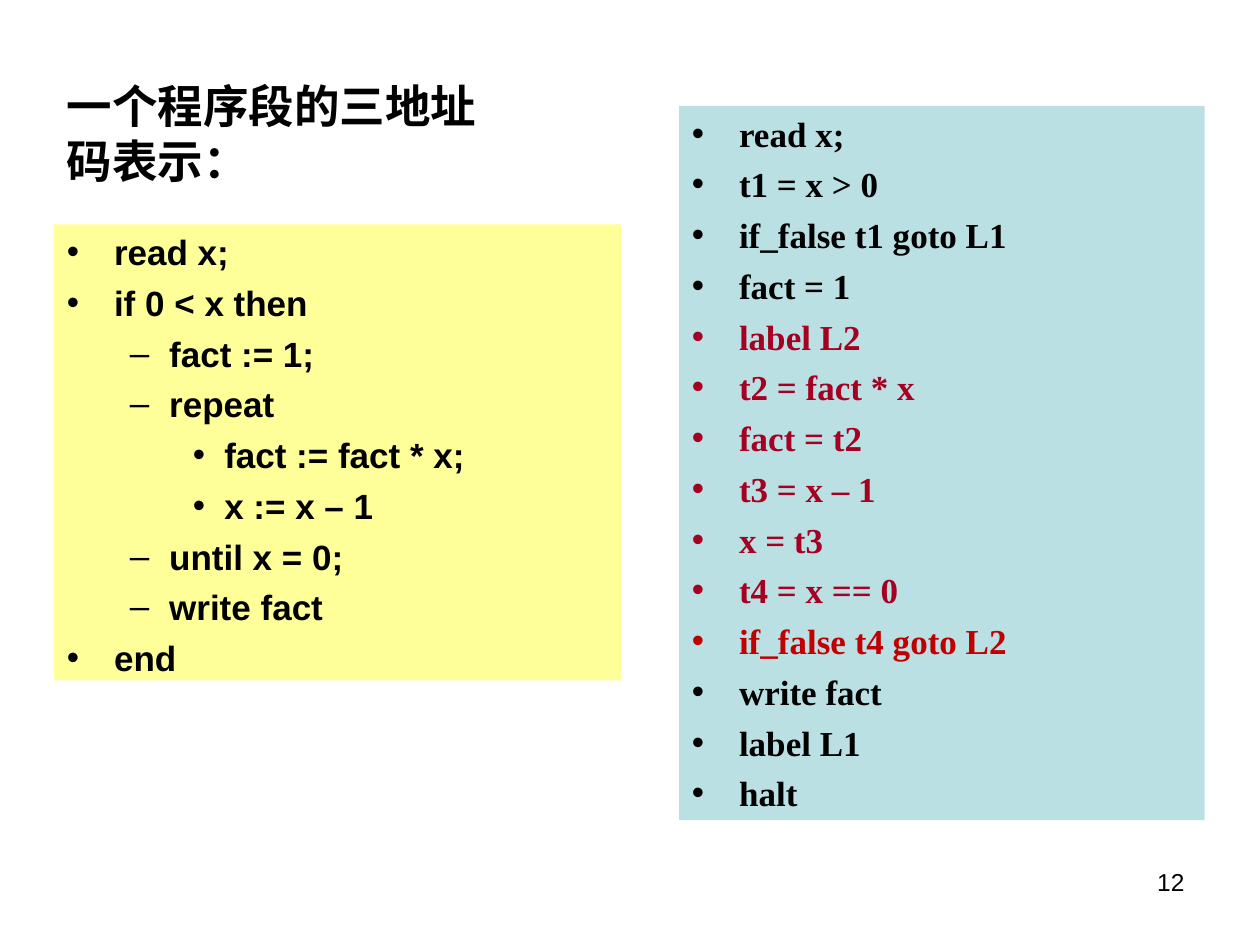
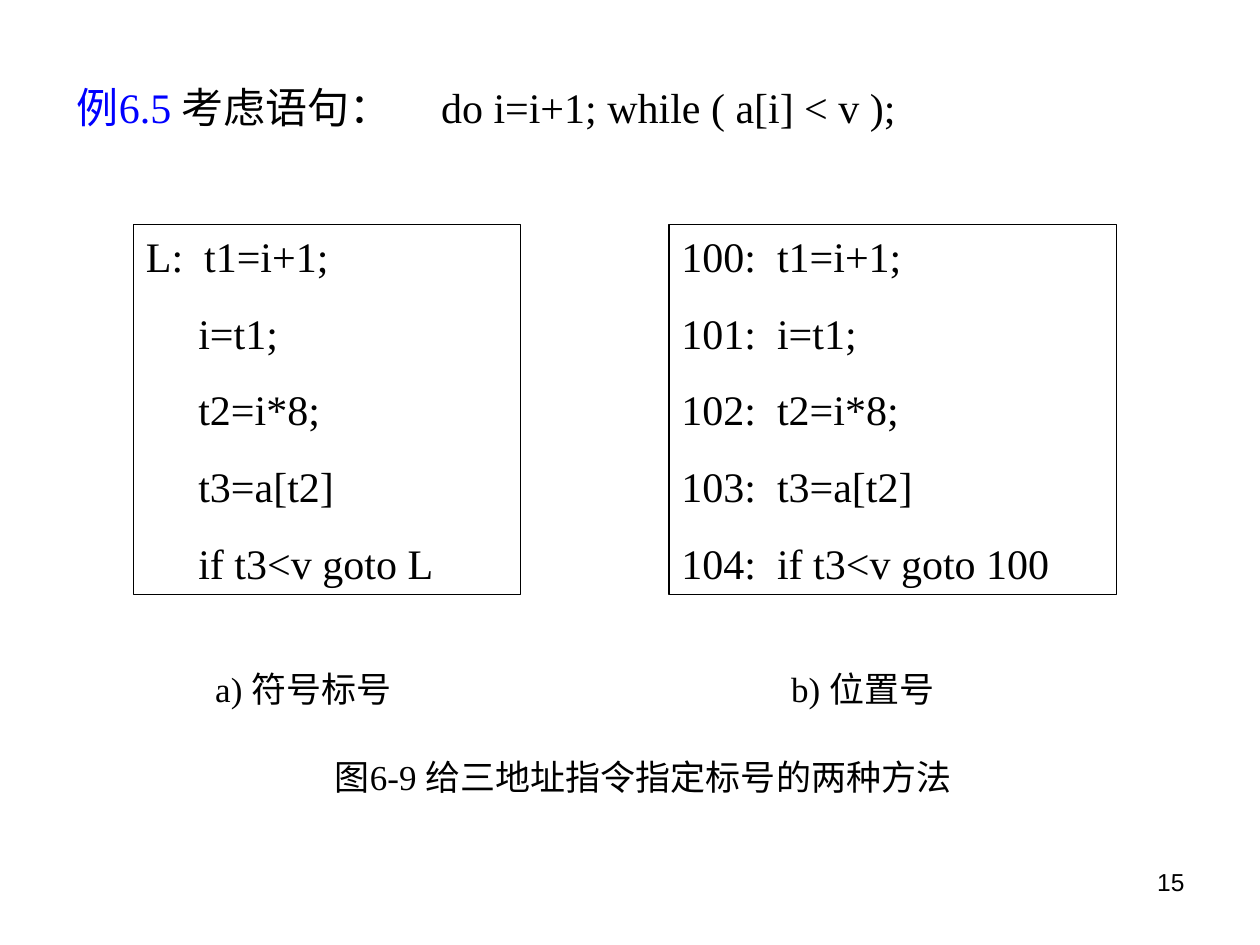
from lxml import etree
from pptx import Presentation
from pptx.dml.color import RGBColor
from pptx.enum import text as t
from pptx.oxml import ns
from pptx.util import Inches, Pt

SANS, SERIF = "Arial", "Times New Roman"
BLACK, BLUE, WINE, RED = "000000", "0000FF", "A50021", "C00000"
YELLOW, TEAL = "FFFF99", "BBE0E3"

SOURCE = [
    (0, "read x;"), (0, "if 0 < x then"),
    (1, "fact := 1;"), (1, "repeat"),
    (2, "fact := fact * x;"), (2, "x := x – 1"),
    (1, "until x = 0;"), (1, "write fact"),
    (0, "end"),
]
TARGET = [
    (BLACK, ["read x;", "t1 = x > 0", "if_false t1 goto L1", "fact = 1"]),
    (WINE, ["label L2", "t2 = fact * x", "fact = t2", "t3 = x – 1",
            "x = t3", "t4 = x == 0"]),
    (RED, ["if_false t4 goto L2"]),
    (BLACK, ["write fact", "label L1", "halt"]),
]
SYMBOLS = ["L:  t1=i+1;", "     i=t1;", "     t2=i*8;", "     t3=a[t2]",
           "     if t3<v goto L"]
NUMBERS = ["100:  t1=i+1;", "101:  i=t1;", "102:  t2=i*8;",
           "103:  t3=a[t2]", "104:  if t3<v goto 100"]


def color(code):
    return RGBColor.from_string(code)


def place(shape, box):
    shape.left, shape.top, shape.width, shape.height = map(Inches, box)


def write(shape, lines, size, font, bold=False, gap=0, align=t.PP_ALIGN.LEFT):
    frame = shape.text_frame
    frame.word_wrap = True
    frame.auto_size = t.MSO_AUTO_SIZE.NONE
    frame.vertical_anchor = t.MSO_ANCHOR.TOP
    for i, (level, runs) in enumerate(lines):
        para = frame.add_paragraph() if i else frame.paragraphs[0]
        para.level = level
        para.alignment = align
        para.line_spacing = Pt(size * 1.2)
        para.space_before = Pt(gap if i else 0)
        for words, code in runs:
            run = para.add_run()
            run.text = words
            run.font.size = Pt(size)
            run.font.name = font
            run.font.bold = bold
            run.font.color.rgb = color(code)


def title(slide, box, runs, size, font, bold=False):
    shape = slide.shapes.title
    place(shape, box)
    write(shape, [(0, runs)], size, font, bold)
    return shape.text_frame.paragraphs[0]


def tab(para, inches):
    props = para._p.get_or_add_pPr()
    stops = etree.SubElement(props, ns.qn("a:tabLst"))
    etree.SubElement(stops, ns.qn("a:tab"), pos=str(Inches(inches)), algn="l")


def panel(shape, box, lines, font, fill):
    place(shape, box)
    shape.fill.solid()
    shape.fill.fore_color.rgb = color(fill)
    write(shape, lines, 20, font, True, 5)


def label(slide, box, words, size=20, font=SERIF, align=t.PP_ALIGN.LEFT):
    shape = slide.shapes.add_textbox(*map(Inches, box))
    write(shape, [(0, [(words, BLACK)])], size, font, align=align)


def number(slide, page):
    label(slide, (7.17, 6.83, 2.33, 0.52), str(page), 14, SANS,
          t.PP_ALIGN.RIGHT)


def listing(slide, box, lines, caption, inset):
    left, top, width, height = box
    shape = slide.shapes.add_textbox(*map(Inches, box))
    shape.line.color.rgb = color(BLACK)
    shape.line.width = Pt(0.75)
    write(shape, [(0, [(line, BLACK)]) for line in lines], 24, SERIF, gap=15)
    label(slide, (left + inset, top + height + 0.53, 1.81, 0.44), caption)


def program(deck):
    slide = deck.slides.add_slide(deck.slide_layouts[3])
    title(slide, (0.43, 0.57, 3.7, 0.97),
          [("一个程序段的三地址码表示：", BLACK)], 26, SANS, True)
    left, right = slide.placeholders[1], slide.placeholders[2]
    panel(left, (0.43, 1.78, 4.5, 3.62),
          [(level, [(line, BLACK)]) for level, line in SOURCE], SANS, YELLOW)
    panel(right, (5.39, 0.84, 4.17, 5.67),
          [(0, [(line, code)]) for code, group in TARGET for line in group],
          SERIF, TEAL)
    number(slide, 12)


def example(deck):
    slide = deck.slides.add_slide(deck.slide_layouts[5])
    para = title(slide, (0.51, 0.6, 6.93, 0.5),
                 [("例6.5 ", BLUE),
                  ("考虑语句：\tdo i=i+1; while ( a[i] < v );", BLACK)],
                 24, SERIF)
    tab(para, 2.89)
    listing(slide, (1.06, 1.78, 3.07, 2.94), SYMBOLS, "a) 符号标号", 0.55)
    listing(slide, (5.31, 1.78, 3.55, 2.94), NUMBERS, "b) 位置号", 0.87)
    label(slide, (2.56, 5.95, 5.2, 0.77),
          "图6-9 给三地址指令指定标号的两种方法")
    number(slide, 15)


def main():
    deck = Presentation()
    deck.slide_width, deck.slide_height = Inches(10), Inches(7.5)
    program(deck)
    example(deck)
    deck.save("out.pptx")


if __name__ == "__main__":
    main()
